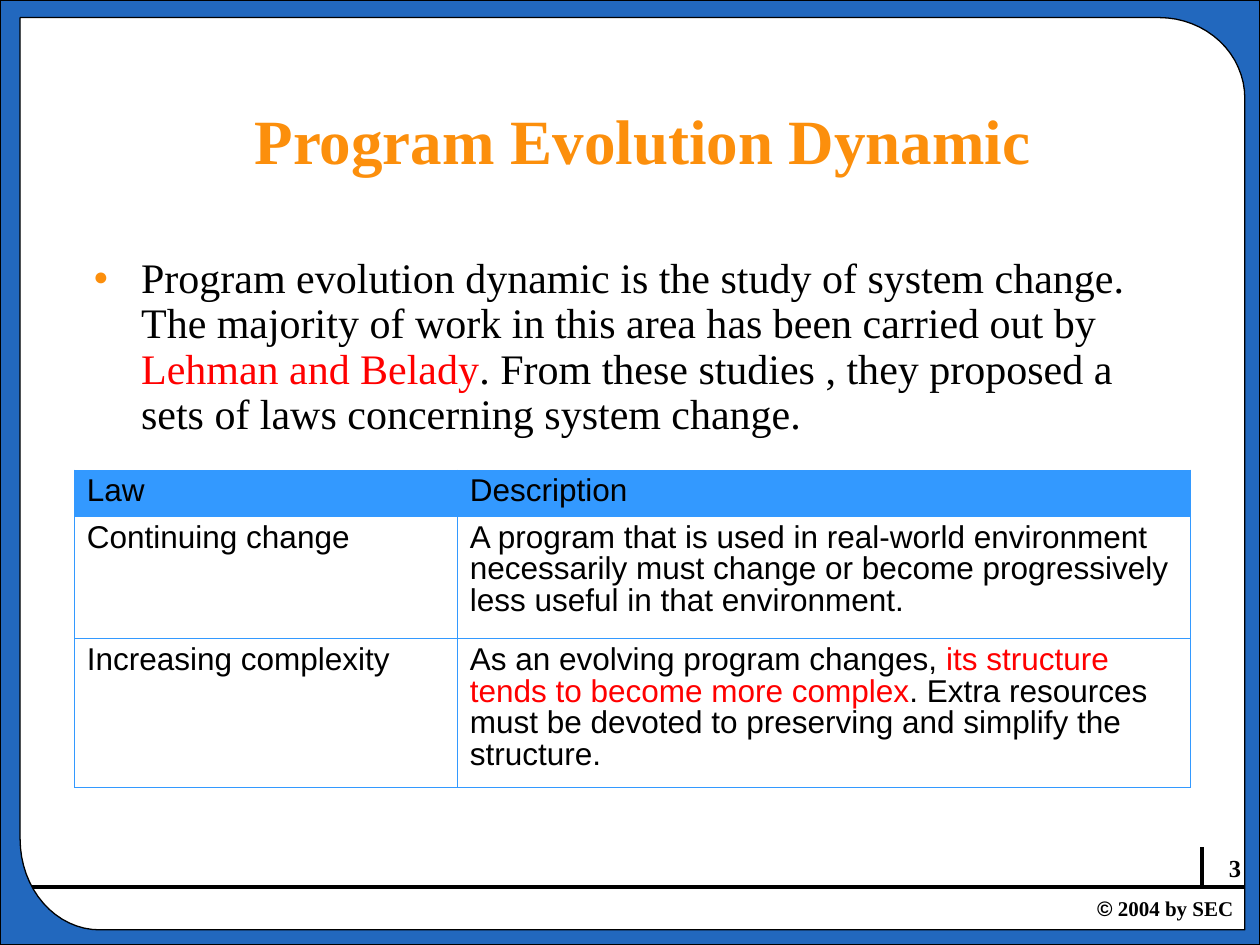
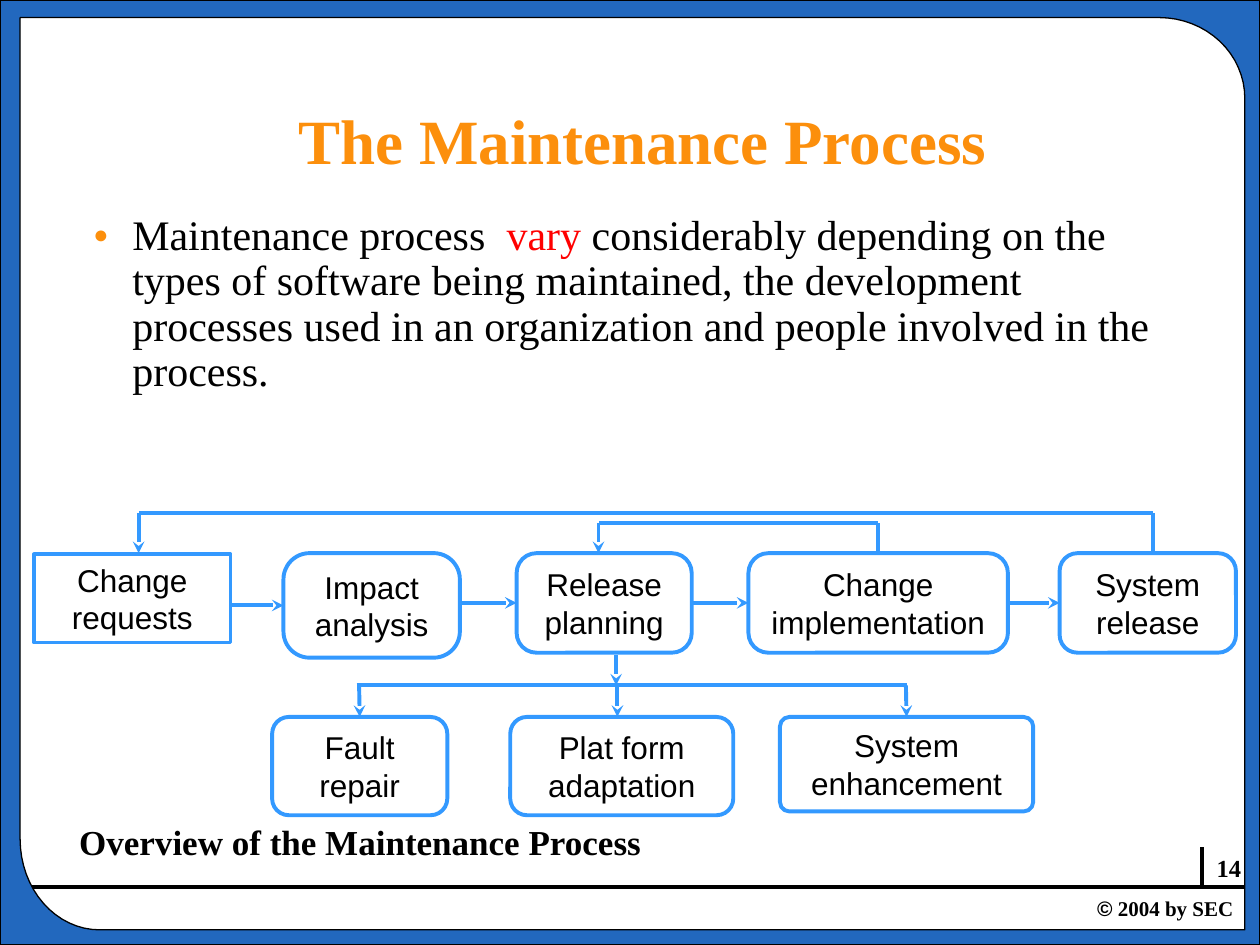
from math import cos, pi, sin

from lxml.etree import SubElement
from pptx import Presentation
from pptx.dml.color import RGBColor
from pptx.enum.shapes import MSO_CONNECTOR, MSO_SHAPE
from pptx.enum.text import MSO_ANCHOR, MSO_AUTO_SIZE, PP_ALIGN
from pptx.oxml.ns import qn
from pptx.util import Inches, Pt

BLACK = RGBColor(0x00, 0x00, 0x00)
RED = RGBColor(0xFF, 0x00, 0x00)
ORANGE = RGBColor(0xFC, 0x8F, 0x0C)
FRAME_BLUE = RGBColor(0x22, 0x68, 0xBE)
BLUE = RGBColor(0x33, 0x99, 0xFF)
SERIF = "Times New Roman"
SANS = "Arial"
WIDTH, HEIGHT = 10, 7.5


def write(tf, *runs, size=18, font=SANS, color=BLACK, bold=False,
          align=PP_ALIGN.LEFT, spacing=1.0, anchor=MSO_ANCHOR.TOP, bullet_indent=None):
    tf.word_wrap = True
    tf.auto_size = MSO_AUTO_SIZE.NONE
    tf.vertical_anchor = anchor
    tf.margin_left = tf.margin_right = Inches(0.1)
    tf.margin_top = tf.margin_bottom = Inches(0.05)
    p = tf.paragraphs[0]
    p.alignment = align
    p.line_spacing = spacing
    p.space_before = Pt(0)
    if bullet_indent:
        add_bullet(p, bullet_indent)
    for run in runs:
        text, own = (run, {}) if isinstance(run, str) else run
        r = p.add_run()
        r.text = text
        r.font.size = Pt(size)
        r.font.name = own.get("font", font)
        r.font.bold = bold
        r.font.color.rgb = own.get("color", color)


def add_bullet(p, indent):
    pPr = p._p.get_or_add_pPr()
    pPr.set("marL", str(Inches(indent)))
    pPr.set("indent", str(-Inches(indent)))
    clr = SubElement(pPr, qn("a:buClr"))
    SubElement(clr, qn("a:srgbClr"), val=str(ORANGE))
    SubElement(pPr, qn("a:buSzPct"), val="60000")
    SubElement(pPr, qn("a:buFont"), typeface=SANS)
    SubElement(pPr, qn("a:buChar"), char="●")


def place(sp, x, y, w, h):
    sp.left, sp.top, sp.width, sp.height = (Inches(v) for v in (x, y, w, h))


def add_text(s, x, y, w, h, *runs, **fmt):
    sp = s.shapes.add_textbox(*(Inches(v) for v in (x, y, w, h)))
    write(sp.text_frame, *runs, **fmt)


def add_line(s, start, end, color=BLUE, arrow=False, begin=None, finish=None):
    c = s.shapes.add_connector(MSO_CONNECTOR.STRAIGHT, *(Inches(v) for v in (*start, *end)))
    c.line.color.rgb = color
    c.line.width = Pt(2.25)
    if arrow:
        SubElement(c.line._get_or_add_ln(), qn("a:tailEnd"), type="stealth")
    SubElement(c._element.spPr, qn("a:effectLst"))
    if begin:
        c.begin_connect(*begin)
    if finish:
        c.end_connect(*finish)


def arc(cx, cy, rx, ry, start, steps=16):
    angles = (start + pi / 2 * i / steps for i in range(steps + 1))
    return [(Inches(cx + rx * cos(a)), Inches(cy + ry * sin(a))) for a in angles]


def add_frame(s):
    left, top, right, bottom = 0.16, 0.14, 9.88, 7.38
    fb = s.shapes.build_freeform(0, 0)
    outer = [(WIDTH, 0), (WIDTH, HEIGHT), (0, HEIGHT)]
    fb.add_line_segments([(Inches(x), Inches(y)) for x, y in outer], close=True)
    fb.move_to(Inches(left), Inches(top))
    fb.add_line_segments(
        arc(right - 0.68, top + 0.64, 0.68, 0.64, -pi / 2)
        + [(Inches(right), Inches(bottom))]
        + arc(left + 0.63, bottom - 0.72, 0.63, 0.72, pi / 2), close=True)
    sp = fb.convert_to_shape()
    sp.shadow.inherit = False
    sp.fill.solid()
    sp.fill.fore_color.rgb = FRAME_BLUE
    sp.line.color.rgb = BLACK
    sp.line.width = Pt(0.75)


def add_footer(s, number):
    y = 7.04
    add_line(s, (0, y), (WIDTH, y), BLACK)
    add_line(s, (9.54, y), (9.54, y - 0.32), BLACK)
    add_frame(s)
    add_text(s, 9.06, y - 0.32, 0.89, 0.34, str(number),
             size=14, font=SERIF, bold=True, align=PP_ALIGN.RIGHT)
    add_text(s, 8.61, y + 0.02, 1.39, 0.3, ("©", {"font": SANS}), " 2004 by SEC",
             size=12, font=SERIF, bold=True)


def new_slide(prs, number, title, body, body_box, bullet_indent):
    s = prs.slides.add_slide(prs.slide_layouts[1])
    add_footer(s, number)
    place(s.shapes.title, 0.69, 0.66, 8.82, 0.79)
    write(s.shapes.title.text_frame, title, size=36, font=SERIF, color=ORANGE, bold=True,
          align=PP_ALIGN.CENTER, spacing=0.8, anchor=MSO_ANCHOR.BOTTOM)
    sp = s.placeholders[1]
    place(sp, *body_box)
    write(sp.text_frame, *body, size=24, font=SERIF, spacing=0.9, bullet_indent=bullet_indent)
    return s


def format_cell(cell, header):
    tcPr = cell._tc.get_or_add_tcPr()
    for side in ("L", "R", "T", "B"):
        ln = SubElement(tcPr, qn(f"a:ln{side}"), w=str(Pt(0.45)))
        fill = SubElement(ln, qn("a:solidFill"))
        SubElement(fill, qn("a:srgbClr"), val=str(BLUE))
    if header:
        cell.fill.solid()
        cell.fill.fore_color.rgb = BLUE
    else:
        cell.fill.background()


def add_law_table(s, x, y, rows, widths, heights):
    size = (x, y, sum(widths), sum(heights))
    table = s.shapes.add_table(len(rows), len(widths), *(Inches(v) for v in size)).table
    table.first_row = table.horz_banding = False
    for column, w in zip(table.columns, widths):
        column.width = Inches(w)
    for i, (row, h) in enumerate(zip(rows, heights)):
        table.rows[i].height = Inches(h)
        for j, runs in enumerate(row):
            cell = table.cell(i, j)
            write(cell.text_frame, *runs, spacing=0.9)
            cell.vertical_anchor = MSO_ANCHOR.TOP
            format_cell(cell, header=i == 0)


def add_step(s, x, y, w, h, text, rounding):
    kind = MSO_SHAPE.ROUNDED_RECTANGLE if rounding else MSO_SHAPE.RECTANGLE
    sp = s.shapes.add_shape(kind, *(Inches(v) for v in (x, y, w, h)))
    if rounding:
        sp.adjustments[0] = rounding
    sp.shadow.inherit = False
    sp.fill.background()
    sp.line.color.rgb = BLUE
    sp.line.width = Pt(2.25)
    write(sp.text_frame, text, align=PP_ALIGN.CENTER, anchor=MSO_ANCHOR.MIDDLE)
    return sp


def add_process(s, x, y):
    main_y, rail_y, kinds_y = y + 0.32, y + 1.37, y + 1.62
    main = [
        (0, 0.01, 1.56, 0.7, "Change requests", 0),
        (1.98, 0, 1.4, 0.83, "Impact analysis", 0.25),
        (3.83, 0, 1.39, 0.79, "Release planning", 0.2),
        (5.67, 0, 2.06, 0.79, "Change implementation", 0.2),
        (8.14, 0, 1.4, 0.79, "System release", 0.18),
    ]
    kinds = [
        (1.89, 1.39, 0.78, "Fault repair", 0.17),
        (3.78, 1.77, 0.78, "Plat form adaptation", 0.17),
        (5.92, 2.01, 0.75, "System enhancement", 0.1),
    ]
    steps = [add_step(s, x + dx, main_y + dy, *rest) for dx, dy, *rest in main]
    fault, _, enhancement = [add_step(s, x + dx, kinds_y, *rest) for dx, *rest in kinds]

    for i, (left, right) in enumerate(zip(main, main[1:])):
        mid = main_y + right[3] / 2
        level = left[3] == right[3]
        add_line(s, (x + left[0] + left[2], mid), (x + right[0], mid), arrow=True,
                 begin=(steps[i], 3) if level else None, finish=(steps[i + 1], 1))

    loops = [(x + 8.88, x + 0.83, y, None), (x + 6.7, x + 4.48, y + 0.08, (steps[3], 0))]
    for source, target, top, begin in loops:
        add_line(s, (source, main_y), (source, top), begin=begin)
        add_line(s, (source, top), (target, top))
        add_line(s, (target, top), (target, main_y), arrow=True)

    add_line(s, (x + 4.62, y + 1.13), (x + 4.62, rail_y), arrow=True)
    add_line(s, (x + 2.56, rail_y), (x + 6.93, rail_y))
    for drop, finish in [(2.58, (fault, 0)), (4.63, None), (6.92, (enhancement, 0))]:
        add_line(s, (x + drop, rail_y), (x + drop, kinds_y), arrow=True, finish=finish)


def dynamics_slide(prs):
    body = [
        "Program evolution dynamic is the study of system change. The majority of work "
        "in this area has been carried out by ",
        ("Lehman and Belady", {"color": RED}),
        ". From these studies , they proposed a sets of laws concerning system change.",
    ]
    s = new_slide(prs, 3, "Program Evolution Dynamic", body, (0.64, 1.99, 8.86, 1.54), 0.38)
    rows = [
        (["Law"], ["Description"]),
        (["Continuing change"],
         ["A program that is used in real-world environment necessarily must change or "
          "become progressively less useful in that environment."]),
        (["Increasing complexity"],
         ["As an evolving program changes, ",
          ("its structure tends to become more complex", {"color": RED}),
          ". Extra resources must be devoted to preserving and simplify the structure."]),
    ]
    add_law_table(s, 0.59, 3.73, rows, widths=(3.04, 5.82), heights=(0.37, 0.97, 1.18))


def process_slide(prs):
    body = [
        "Maintenance process  ",
        ("vary", {"color": RED}),
        " considerably depending on the types of software being maintained, the development "
        "processes used in an organization and people involved in the process.",
    ]
    s = new_slide(prs, 14, "The Maintenance Process", body, (0.64, 1.65, 8.86, 2.3), 0.31)
    add_process(s, 0.27, 4.07)
    add_text(s, 0.53, 6.52, 8.82, 0.37, "Overview of the Maintenance Process", size=20,
             font=SERIF, bold=True, spacing=0.8, anchor=MSO_ANCHOR.BOTTOM)


def main():
    prs = Presentation()
    prs.slide_width, prs.slide_height = Inches(WIDTH), Inches(HEIGHT)
    dynamics_slide(prs)
    process_slide(prs)
    prs.save("out.pptx")


if __name__ == "__main__":
    main()
